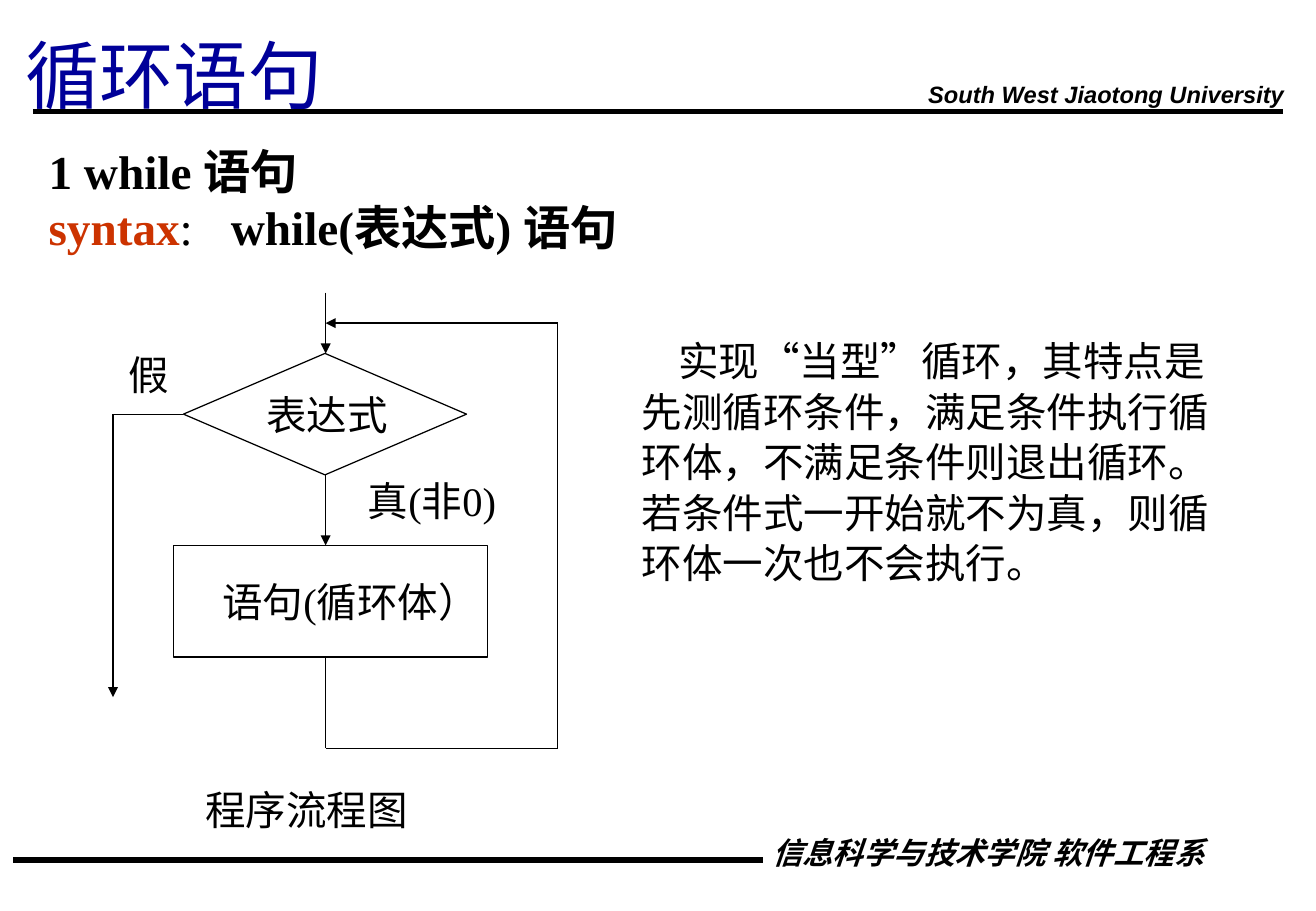
from dataclasses import dataclass

from lxml.etree import SubElement
from pptx import Presentation
from pptx.dml.color import RGBColor
from pptx.enum.shapes import MSO_CONNECTOR, MSO_SHAPE
from pptx.enum.text import MSO_ANCHOR, MSO_AUTO_SIZE, PP_ALIGN
from pptx.oxml.ns import qn
from pptx.util import Inches, Pt


@dataclass(frozen=True)
class Theme:
    """Colours, fonts and type sizes of the slide."""
    black: RGBColor = RGBColor(0x00, 0x00, 0x00)
    white: RGBColor = RGBColor(0xFF, 0xFF, 0xFF)
    title: RGBColor = RGBColor(0x00, 0x00, 0x99)
    keyword: RGBColor = RGBColor(0xCC, 0x33, 0x00)
    serif: str = "Times New Roman"
    sans: str = "Arial"
    chinese: str = "Noto Sans CJK SC"
    title_size: int = 44
    heading_size: int = 28
    text_size: int = 24
    department_size: int = 18
    university_size: int = 14
    title_leading: int = 57
    heading_leading: int = 33
    text_leading: int = 30
    thin: float = 0.75
    thick: float = 3


THEME = Theme()


def add_text(paragraph, text, size=THEME.text_size, color=THEME.black,
             font=THEME.serif, bold=False, italic=False):
    """Add one formatted run to a paragraph."""
    run = paragraph.add_run()
    run.text = text
    run.font.size = Pt(size)
    run.font.bold = bold
    run.font.italic = italic
    run.font.color.rgb = color
    run.font.name = font
    SubElement(run.font._element, qn("a:ea")).set("typeface", THEME.chinese)


def place(shape, left, top, width, height):
    """Move a shape to a box given in inches."""
    shape.left, shape.top = Inches(left), Inches(top)
    shape.width, shape.height = Inches(width), Inches(height)


def prepare_frame(shape, anchor=MSO_ANCHOR.TOP, wrap=True):
    """Set the text frame options and return its first paragraph."""
    frame = shape.text_frame
    frame.auto_size = MSO_AUTO_SIZE.NONE
    frame.word_wrap = wrap
    frame.vertical_anchor = anchor
    return frame.paragraphs[0]


def format_body(paragraph, leading, indent=0, tab=None):
    """Remove the bullet and set the line spacing, first-line indent and tab stop."""
    paragraph.alignment = PP_ALIGN.LEFT
    paragraph.space_before = Pt(0)
    paragraph.line_spacing = Pt(leading)
    properties = paragraph._p.get_or_add_pPr()
    properties.set("marL", "0")
    properties.set("indent", str(Inches(indent)))
    SubElement(properties, qn("a:buNone"))
    if tab:
        stop = SubElement(SubElement(properties, qn("a:tabLst")), qn("a:tab"))
        stop.set("pos", str(Inches(tab)))
        stop.set("algn", "l")


def add_line(shapes, start, end, width=THEME.thin, arrow=False):
    """Draw a straight line, with an arrowhead at its end if asked."""
    line = shapes.add_connector(MSO_CONNECTOR.STRAIGHT,
                                *(Inches(value) for value in (*start, *end)))
    line.line.color.rgb = THEME.black
    line.line.width = Pt(width)
    if arrow:
        SubElement(line.line._get_or_add_ln(), qn("a:tailEnd")).set("type", "triangle")
    SubElement(line._element.spPr, qn("a:effectLst"))


def add_label(shapes, text, left, top, width, height, align=PP_ALIGN.LEFT,
              anchor=MSO_ANCHOR.MIDDLE, spacing=None, **style):
    """Add a one-line text box."""
    label = shapes.add_textbox(*(Inches(value) for value in (left, top, width, height)))
    paragraph = prepare_frame(label, anchor)
    paragraph.alignment = align
    paragraph.line_spacing = spacing
    add_text(paragraph, text, **style)


def add_node(shapes, kind, text, left, top, width, height, inset=0,
             align=PP_ALIGN.CENTER, outlined=True):
    """Add a white flowchart node, its text shifted by a left inset."""
    node = shapes.add_shape(kind, *(Inches(value) for value in (left, top, width, height)))
    node.shadow.inherit = False
    node.fill.solid()
    node.fill.fore_color.rgb = THEME.white
    if outlined:
        node.line.color.rgb = THEME.black
        node.line.width = Pt(THEME.thin)
    else:
        node.line.fill.background()
    paragraph = prepare_frame(node, MSO_ANCHOR.MIDDLE, wrap=not outlined)
    paragraph.alignment = align
    node.text_frame.margin_left = Inches(inset)
    node.text_frame.margin_right = 0
    add_text(paragraph, text)


def build_frame(slide, left, top, width, height):
    """Draw the header and footer rules with their captions."""
    bottom = top + height
    add_line(slide.shapes, (left + 0.16, top), (left + width, top), THEME.thick)
    add_line(slide.shapes, (left, bottom), (left + 6.17, bottom), THEME.thick)
    add_label(slide.shapes, "South West Jiaotong University", left + 7.43, top - 0.25,
              3.2, 0.27, anchor=MSO_ANCHOR.TOP, spacing=0.7, font=THEME.sans,
              size=THEME.university_size, bold=True, italic=True)
    add_label(slide.shapes, "信息科学与技术学院 软件工程系", left + 5.15, bottom - 0.18,
              4.75, 0.31, align=PP_ALIGN.RIGHT, anchor=MSO_ANCHOR.TOP, spacing=0.7,
              font=THEME.chinese, size=THEME.department_size, bold=True, italic=True)


def build_title(title, *box):
    """Fill the title placeholder."""
    place(title, *box)
    paragraph = prepare_frame(title)
    paragraph.alignment = PP_ALIGN.LEFT
    paragraph.line_spacing = Pt(THEME.title_leading)
    add_text(paragraph, "循环语句", size=THEME.title_size, color=THEME.title)


def build_syntax(body, *box):
    """Fill the body placeholder with the heading and the syntax line."""
    place(body, *box)
    heading = prepare_frame(body)
    syntax = body.text_frame.add_paragraph()
    format_body(heading, THEME.heading_leading)
    format_body(syntax, THEME.heading_leading, tab=1.26)
    size = THEME.heading_size
    add_text(heading, "1 while 语句", size=size, bold=True)
    add_text(syntax, "syntax", size=size, color=THEME.keyword, bold=True)
    add_text(syntax, ":\t", size=size)
    add_text(syntax, "while(表达式) 语句", size=size, bold=True)


def build_explanation(body, *box):
    """Fill the second body placeholder with the explanation."""
    place(body, *box)
    paragraph = prepare_frame(body)
    format_body(paragraph, THEME.text_leading, indent=0.3)
    add_text(paragraph, "实现“当型”循环，其特点是先测循环条件，满足条件执行循环体，"
                        "不满足条件则退出循环。若条件式一开始就不为真，则循环体一次也不会执行。")


def build_flowchart(slide, left, top, width, height):
    """Draw the flowchart of the while loop."""
    shapes = slide.shapes.add_group_shape().shapes
    spine, right = left + 1.75, left + width
    test_top, test_middle, test_bottom = top + 0.5, top + 1, top + 1.5
    body_top, body_bottom = top + 2.08, top + 3
    loop_top, loop_bottom = top + 0.25, top + 3.75
    test_left = left + 0.58

    add_node(shapes, MSO_SHAPE.DIAMOND, "表达式", test_left, test_top, 2.33, 1, inset=0.03)
    add_node(shapes, MSO_SHAPE.RECTANGLE, "语句(循环体）", left + 0.5, body_top,
             2.58, body_bottom - body_top, inset=0.33)

    for start, end, arrow in (
        ((spine, top), (spine, test_top), True),
        ((spine, test_bottom), (spine, body_top), True),
        ((test_left, test_middle), (left, test_middle), False),
        ((left, test_middle), (left, top + 3.33), True),
        ((spine, body_bottom), (spine, loop_bottom), False),
        ((spine, loop_bottom), (right, loop_bottom), False),
        ((right, loop_bottom), (right, loop_top), False),
        ((right, loop_top), (spine, loop_top), True),
    ):
        add_line(shapes, start, end, arrow=arrow)

    add_label(shapes, "真(非0)", left + 2, test_bottom, 1.6, 0.41)
    for text, label_left, label_top, label_width in (
        ("假", left + 0.03, top + 0.42, 0.68),
        ("程序流程图", left + 0.66, top + height - 0.5, 2.17),
    ):
        add_node(shapes, MSO_SHAPE.RECTANGLE, text, label_left, label_top, label_width, 0.5,
                 inset=0.1, align=PP_ALIGN.LEFT, outlined=False)


def main():
    """Build the slide and save the presentation."""
    presentation = Presentation()
    presentation.slide_width = Inches(10.83)
    presentation.slide_height = Inches(7.5)
    slide = presentation.slides.add_slide(presentation.slide_layouts[3])
    title, syntax, explanation = slide.placeholders
    build_frame(slide, 0.11, 0.92, 10.45, 6.16)
    build_title(title, 0.11, 0.13, 8.42, 0.84)
    build_syntax(syntax, 0.3, 1.13, 9.85, 1.04)
    build_flowchart(slide, 0.93, 2.41, 3.66, 4.5)
    build_explanation(explanation, 5.18, 2.7, 4.92, 2.2)
    presentation.save("out.pptx")


if __name__ == "__main__":
    main()
